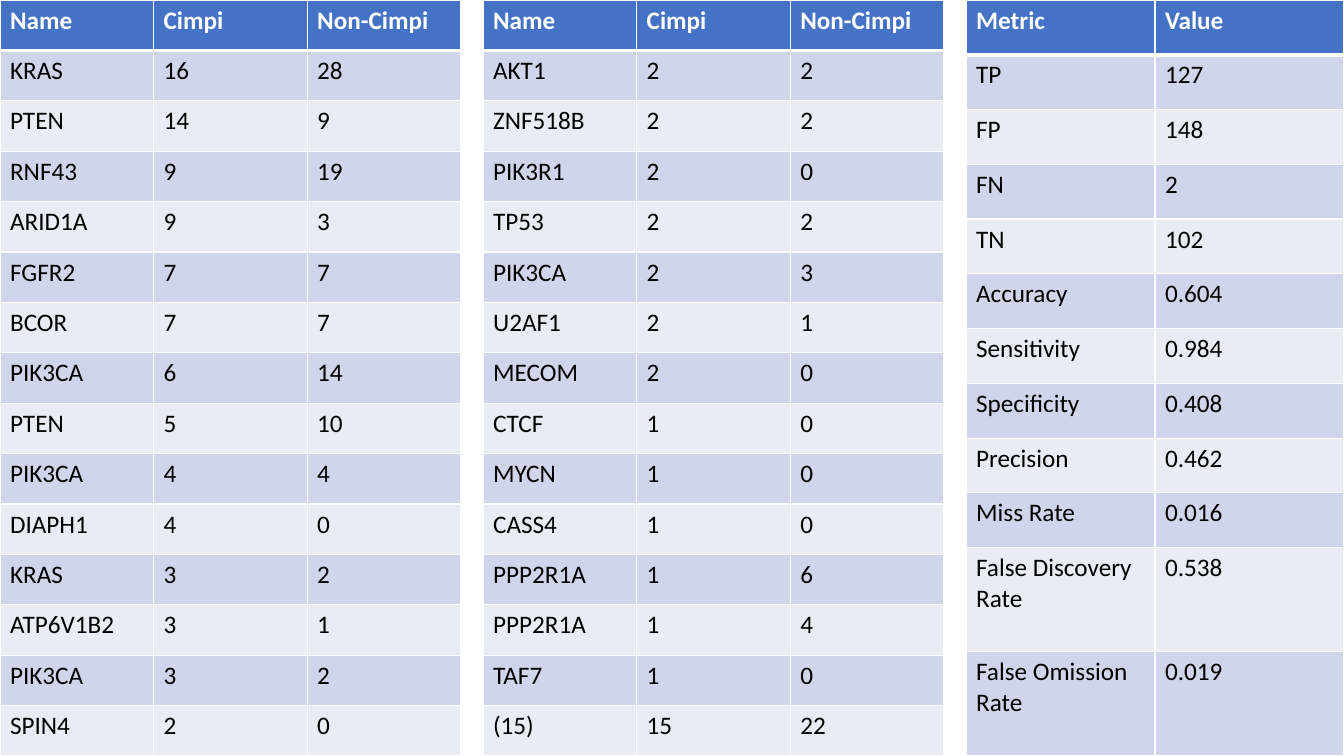
import pptx
import pptx.dml.color
import pptx.oxml.ns
import pptx.util
from lxml import etree

GENE_HEADER = ("Name", "Cimpi", "Non-Cimpi")
FREQUENT_GENES = [
    GENE_HEADER,
    ("KRAS", 16, 28),
    ("PTEN", 14, 9),
    ("RNF43", 9, 19),
    ("ARID1A", 9, 3),
    ("FGFR2", 7, 7),
    ("BCOR", 7, 7),
    ("PIK3CA", 6, 14),
    ("PTEN", 5, 10),
    ("PIK3CA", 4, 4),
    ("DIAPH1", 4, 0),
    ("KRAS", 3, 2),
    ("ATP6V1B2", 3, 1),
    ("PIK3CA", 3, 2),
    ("SPIN4", 2, 0),
]
RARE_GENES = [
    GENE_HEADER,
    ("AKT1", 2, 2),
    ("ZNF518B", 2, 2),
    ("PIK3R1", 2, 0),
    ("TP53", 2, 2),
    ("PIK3CA", 2, 3),
    ("U2AF1", 2, 1),
    ("MECOM", 2, 0),
    ("CTCF", 1, 0),
    ("MYCN", 1, 0),
    ("CASS4", 1, 0),
    ("PPP2R1A", 1, 6),
    ("PPP2R1A", 1, 4),
    ("TAF7", 1, 0),
    ("(15)", 15, 22),
]
METRICS = [
    ("Metric", "Value"),
    ("TP", 127),
    ("FP", 148),
    ("FN", 2),
    ("TN", 102),
    ("Accuracy", 0.604),
    ("Sensitivity", 0.984),
    ("Specificity", 0.408),
    ("Precision", 0.462),
    ("Miss Rate", 0.016),
    ("False Discovery\nRate", 0.538),
    ("False Omission\nRate", 0.019),
]


def rgb(value):
    return pptx.dml.color.RGBColor.from_string(value)


class ResultsSlide:
    """Draws banded tables on a slide divided into 64 grid columns."""

    font, size = "Calibri", 18
    header_fill, bands = "4472C4", ("E9EBF5", "CFD5EA")
    header_text, body_text, rule = "FFFFFF", "000000", "FFFFFF"
    thin, thick = 1, 3
    grid_columns, tall_row = 64, 1.9

    def __init__(self, deck):
        self.slide = deck.slides.add_slide(deck.slide_layouts[6])
        self.column = deck.slide_width / self.grid_columns
        self.height = deck.slide_height

    def table(self, start, span, rows):
        left, width = round(start * self.column), round(span * self.column)
        frame = self.slide.shapes.add_table(
            len(rows), len(rows[0]), left, 0, width, self.height)
        weights = [self.tall_row if "\n" in row[0] else 1 for row in rows]
        for table_row, weight in zip(frame.table.rows, weights):
            table_row.height = round(self.height * weight / sum(weights))
        for row_index, row in enumerate(rows):
            for column_index, value in enumerate(row):
                self.cell(frame.table.cell(row_index, column_index),
                          str(value), row_index)

    def cell(self, cell, text, row_index):
        is_header = row_index == 0
        self.borders(cell, row_index)
        cell.fill.solid()
        cell.fill.fore_color.rgb = rgb(
            self.header_fill if is_header else self.bands[row_index % 2])
        for line_index, line in enumerate(text.split("\n")):
            frame = cell.text_frame
            paragraph = frame.add_paragraph() if line_index else frame.paragraphs[0]
            run = paragraph.add_run()
            run.text = line
            run.font.name = self.font
            run.font.size = pptx.util.Pt(self.size)
            run.font.bold = is_header
            run.font.color.rgb = rgb(
                self.header_text if is_header else self.body_text)

    def borders(self, cell, row_index):
        qn = pptx.oxml.ns.qn
        properties = cell._tc.get_or_add_tcPr()
        for side in ("L", "R", "T", "B"):
            under_header = (row_index, side) in ((0, "B"), (1, "T"))
            weight = pptx.util.Pt(self.thick if under_header else self.thin)
            line = etree.SubElement(properties, qn(f"a:ln{side}"), w=str(weight))
            fill = etree.SubElement(line, qn("a:solidFill"))
            etree.SubElement(fill, qn("a:srgbClr"), val=self.rule)


def main():
    deck = pptx.Presentation()
    deck.slide_width = pptx.util.Inches(13.33)
    deck.slide_height = pptx.util.Inches(7.5)
    results = ResultsSlide(deck)
    results.table(0, 21.94, FREQUENT_GENES)
    results.table(23, 21.94, RARE_GENES)
    results.table(46, 18, METRICS)
    deck.save("out.pptx")


if __name__ == "__main__":
    main()
